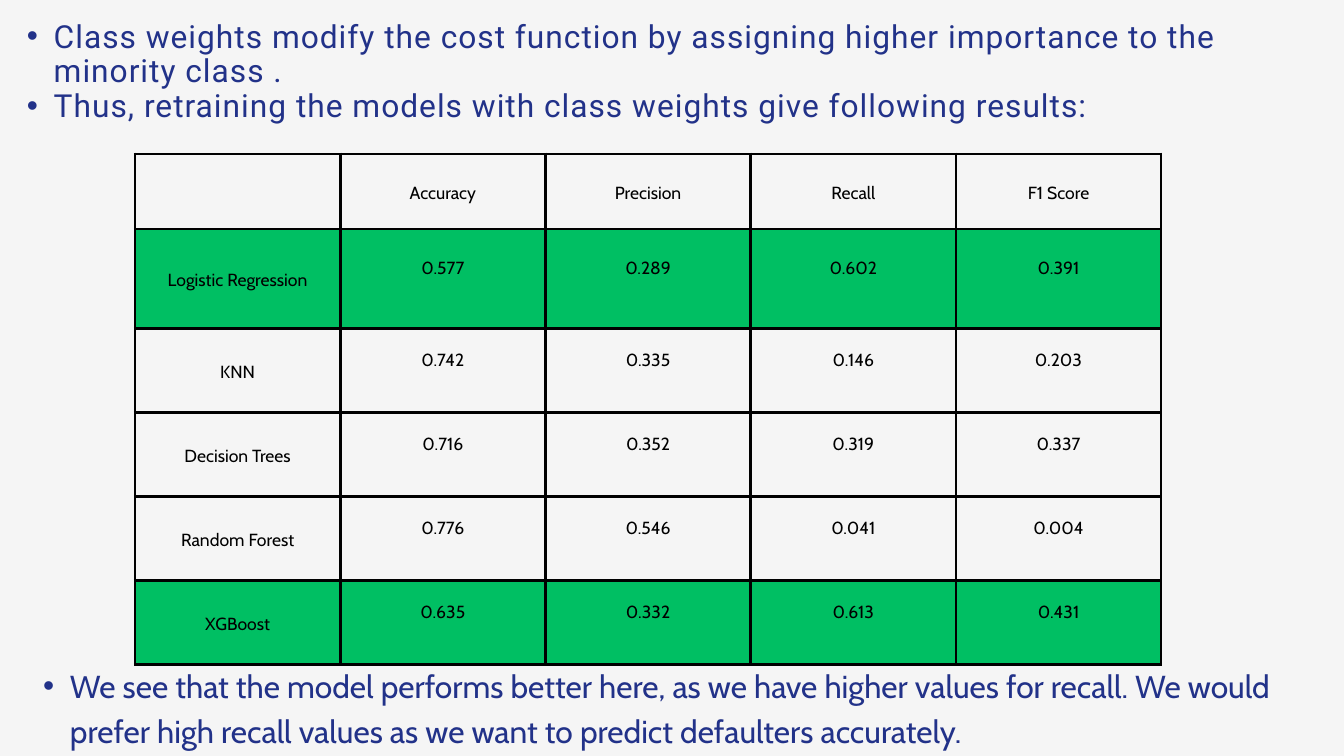
from lxml.etree import SubElement as Sub
from pptx import Presentation
from pptx.dml.color import RGBColor
from pptx.enum.text import MSO_ANCHOR as Anchor, MSO_AUTO_SIZE as Fit, PP_ALIGN as Align
from pptx.oxml.ns import qn
from pptx.util import Inches, Pt

NAVY, BLACK, GREEN, PAPER = "223289", "000000", "00BF63", "F5F5F5"
HEADS = ["", "Accuracy", "Precision", "Recall", "F1 Score"]
MODELS = [
    ["Logistic Regression", "0.577", "0.289", "0.602", "0.391"],
    ["KNN", "0.742", "0.335", "0.146", "0.203"],
    ["Decision Trees", "0.716", "0.352", "0.319", "0.337"],
    ["Random Forest", "0.776", "0.546", "0.041", "0.004"],
    ["XGBoost", "0.635", "0.332", "0.613", "0.431"],
]
BEST = {"Logistic Regression", "XGBoost"}
HEIGHTS = [1.12, 1.48, 1.25, 1.25, 1.25, 1.25]
PAD, LINE = 0.21, 26.3


def paint(fill, color):
    fill.solid()
    fill.fore_color.rgb = RGBColor.from_string(color)


def style(para, face, size, color, line):
    para.line_spacing = Pt(line)
    font = para.font
    font.name, font.size = face, Pt(size)
    font.color.rgb = RGBColor.from_string(color)


def add_bullets(slide, box, lines, face, line, spread=0):
    """Add a bulleted text box; spread is the letter spacing in points."""
    frame = slide.shapes.add_textbox(*map(Inches, box)).text_frame
    frame.word_wrap, frame.auto_size = True, Fit.SHAPE_TO_FIT_TEXT
    frame.margin_left = frame.margin_right = 0
    frame.margin_top = frame.margin_bottom = 0
    for i, text in enumerate(lines):
        para = frame.add_paragraph() if i else frame.paragraphs[0]
        run = para.add_run()
        run.text = text
        if spread:
            run.font._element.set("spc", str(round(spread * 100)))
        para.level = 1
        props = para._p.get_or_add_pPr()
        props.set("marL", str(Inches(0.8)))
        props.set("indent", str(-Inches(0.4)))
        Sub(props, qn("a:buFont"), typeface="Arial")
        Sub(props, qn("a:buChar"), char="•")
        style(para, face, 34, NAVY, line)


def add_border(cell):
    props = cell._tc.get_or_add_tcPr()
    for side in ("lnL", "lnR", "lnT", "lnB"):
        edge = Sub(props, qn(f"a:{side}"), w=str(Pt(3)))
        fill = Sub(edge, qn("a:solidFill"))
        Sub(fill, qn("a:srgbClr"), val=BLACK)


def fill_cell(cell, text, best, score):
    add_border(cell)
    if best:
        paint(cell.fill, GREEN)
    else:
        cell.fill.background()
    cell.vertical_anchor = Anchor.MIDDLE
    cell.margin_left = cell.margin_right = cell.margin_top = Inches(PAD)
    # Scores sit half a line above the middle of their row.
    cell.margin_bottom = Inches(PAD) + (Pt(LINE) if score else 0)
    cell.text = text
    para = cell.text_frame.paragraphs[0]
    para.alignment = Align.CENTER
    style(para, "Cabin", 18.8, BLACK, LINE)


def add_scores(slide, box):
    rows = [HEADS] + MODELS
    table = slide.shapes.add_table(len(rows), len(HEADS), *map(Inches, box)).table
    table.first_row = table.horz_banding = False
    for col in table.columns:
        col.width = Inches(box[2] / len(HEADS))
    for r, (row, height) in enumerate(zip(rows, HEIGHTS)):
        table.rows[r].height = Inches(height)
        for c, text in enumerate(row):
            fill_cell(table.cell(r, c), text, row[0] in BEST, r > 0 and c > 0)


def main():
    deck = Presentation()
    deck.slide_width, deck.slide_height = Inches(20), Inches(11.25)
    slide = deck.slides.add_slide(deck.slide_layouts[6])
    paint(slide.background.fill, PAPER)
    add_scores(slide, (2.01, 2.29, 15.27, sum(HEIGHTS)))
    add_bullets(slide, (0, 0.29, 20, 1.55), [
        "Class weights modify the cost function by assigning higher importance to the minority class .",
        "Thus, retraining the models with class weights give following results:",
    ], "Roboto", 37.4, 1.1)
    add_bullets(slide, (0.24, 9.83, 19.35, 1.29), [
        "We see that the model performs better here, as we have higher values for recall. "
        "We would prefer high recall values as we want to predict defaulters accurately.",
    ], "Cabin", 47.6)
    deck.save("out.pptx")


if __name__ == "__main__":
    main()
